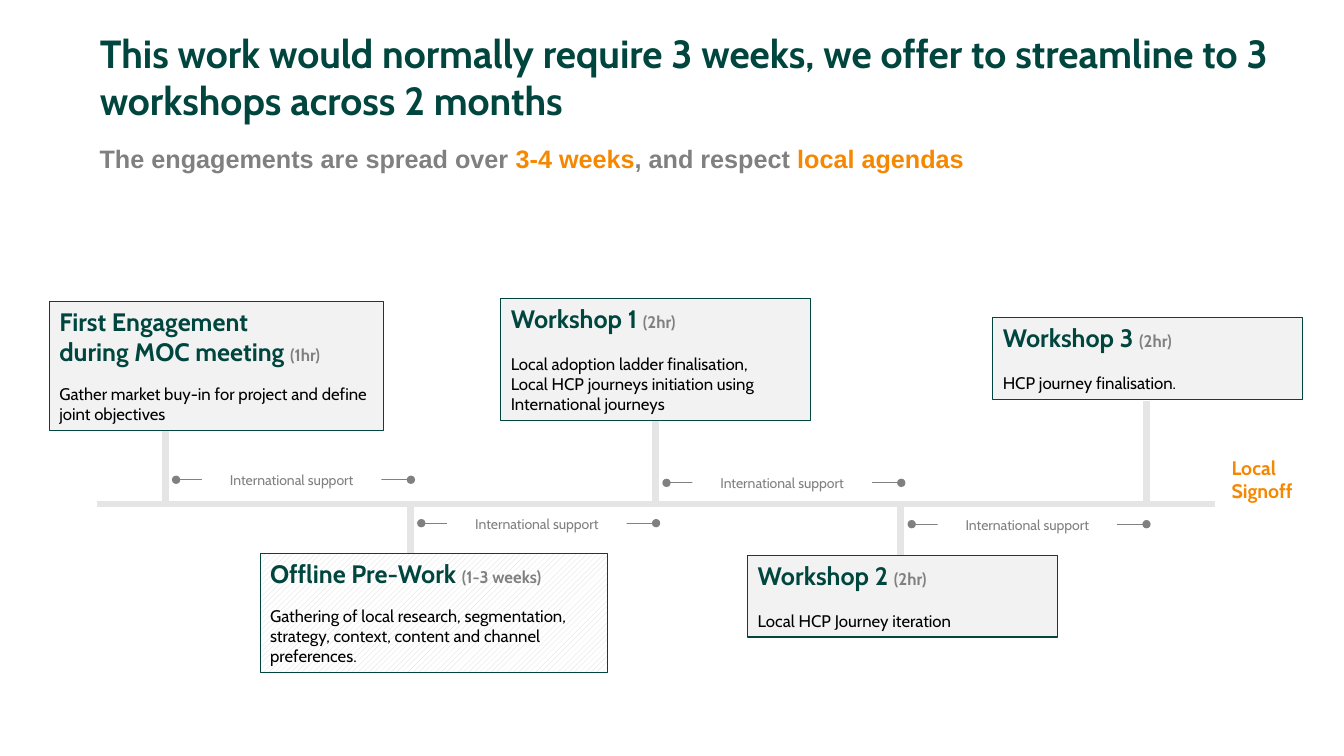
from dataclasses import dataclass

from lxml.etree import SubElement
from pptx import Presentation
from pptx.dml.color import RGBColor
from pptx.enum.dml import MSO_PATTERN
from pptx.enum.shapes import MSO_CONNECTOR, MSO_SHAPE
from pptx.enum.text import MSO_ANCHOR, MSO_AUTO_SIZE, PP_ALIGN
from pptx.oxml.ns import qn
from pptx.util import Pt


@dataclass(frozen=True)
class Theme:
    green: RGBColor = RGBColor(0x00, 0x46, 0x3E)
    orange: RGBColor = RGBColor(0xF5, 0x88, 0x00)
    gray: RGBColor = RGBColor(0x80, 0x80, 0x80)
    track: RGBColor = RGBColor(0xE5, 0xE5, 0xE5)
    panel: RGBColor = RGBColor(0xF2, 0xF2, 0xF2)
    hatch: RGBColor = RGBColor(0xD9, 0xD9, 0xD9)
    black: RGBColor = RGBColor(0x00, 0x00, 0x00)
    white: RGBColor = RGBColor(0xFF, 0xFF, 0xFF)
    font: str = "Cabin"
    subtitle_font: str = "Arial"
    title: int = 28
    heading: int = 18
    signoff: int = 14
    body: int = 12
    label: int = 10


theme = Theme()


def write_spans(para, spans, font=theme.font):
    """Fill a paragraph with (text, size, colour, bold) spans."""
    for text, size, color, bold in spans:
        span = para.add_run()
        span.text = text
        span.font.name = font
        span.font.size = Pt(size)
        span.font.color.rgb = color
        span.font.bold = bold


def add_line(start, end, color, width):
    """Draw a straight line without a shadow between two (x, y) points."""
    line = slide.shapes.add_connector(
        MSO_CONNECTOR.STRAIGHT, *(Pt(value) for value in start + end))
    line.line.color.rgb = color
    line.line.width = Pt(width)
    SubElement(line._element.spPr, qn("a:effectLst"))
    return line


deck = Presentation()
deck.slide_width, deck.slide_height = Pt(960), Pt(540)
slide = deck.slides.add_slide(deck.slide_layouts[5])

# Title
title = slide.shapes.title
title.left, title.top, title.width, title.height = Pt(64.1), Pt(19.4), Pt(851), Pt(49)
frame = title.text_frame
frame.word_wrap = True
frame.auto_size = MSO_AUTO_SIZE.NONE
frame.vertical_anchor = MSO_ANCHOR.TOP
frame.margin_top, frame.margin_bottom = Pt(1.4), Pt(0)
frame.paragraphs[0].alignment = PP_ALIGN.LEFT
write_spans(frame.paragraphs[0], [(
    "This work would normally require 3 weeks, we offer to streamline to 3 "
    "workshops across 2 months", theme.title, theme.green, True)])

# Subtitle and closing milestone
captions = [
    ((64.1, 98.6, 826.6, 28.8), theme.subtitle_font, [
        ("The engagements are spread over ", theme.heading, theme.gray, True),
        ("3-4 weeks", theme.heading, theme.orange, True),
        (", and respect ", theme.heading, theme.gray, True),
        ("local agendas", theme.heading, theme.orange, True)]),
    ((872.6, 321.8, 72.7, 41), theme.font,
     [("Local Signoff", theme.signoff, theme.orange, True)]),
]
for place, font, spans in captions:
    box = slide.shapes.add_textbox(*(Pt(value) for value in place))
    box.text_frame.word_wrap = True
    write_spans(box.text_frame.paragraphs[0], spans, font)

# Timeline with stems alternating above and below
axis_y = 360
stem_length = 73.5
first_stem, stem_step = 118.1, 175.15
stems = [first_stem + index * stem_step for index in range(5)]
add_line((69.1, axis_y), (867.6, axis_y), theme.track, 5)
for index, x in enumerate(stems):
    direction = 1 if index % 2 else -1
    add_line((x, axis_y), (x, axis_y + direction * stem_length), theme.track, 5)

# Support spans between neighbouring stems
for x, y in zip(stems, (342.7, 373.7, 344.9, 374.4)):
    start = x + 7.7
    support = add_line((start, y), (start + 167.7, y), theme.gray, 0.75)
    outline = support.line._get_or_add_ln()
    for end in ("a:headEnd", "a:tailEnd"):
        SubElement(outline, qn(end), type="oval")

    label = slide.shapes.add_shape(
        MSO_SHAPE.RECTANGLE, Pt(start + 18.4), Pt(y - 9.4), Pt(128.2), Pt(19.4))
    label.shadow.inherit = False
    label.fill.solid()
    label.fill.fore_color.rgb = theme.white
    label.line.fill.background()
    label.text_frame.word_wrap = True
    para = label.text_frame.paragraphs[0]
    para.alignment = PP_ALIGN.CENTER
    write_spans(para, [("International support", theme.label, theme.gray, False)])

# Engagements: place, heading lines, duration, gap before body, body lines, hatched
engagements = [
    ((35.3, 215.4, 238.5, 92.2), ["First Engagement", "during MOC meeting "], "(1hr)", 12,
     ["Gather market buy-in for project and define joint objectives"], False),
    ((185.8, 395.3, 248.4, 85), ["Offline Pre-Work "], "(1-3 weeks)", 12,
     ["Gathering of local research, segmentation, strategy, context, "
      "content and channel preferences."], True),
    ((357.8, 213.1, 221, 87.1), ["Workshop 1 "], "(2hr)", 14.5,
     ["Local adoption ladder finalisation,",
      "Local HCP journeys initiation using International journeys"], False),
    ((534.2, 396.7, 221, 58.3), ["Workshop 2 "], "(2hr)", 14.5,
     ["Local HCP Journey iteration"], False),
    ((709.2, 226.8, 221, 58.3), ["Workshop 3 "], "(2hr)", 14.5,
     ["HCP journey finalisation."], False),
]
for place, headings, duration, gap, body, hatched in engagements:
    box = slide.shapes.add_shape(MSO_SHAPE.RECTANGLE, *(Pt(value) for value in place))
    box.shadow.inherit = False
    if hatched:
        box.fill.patterned()
        box.fill.pattern = MSO_PATTERN.WIDE_UPWARD_DIAGONAL
        box.fill.fore_color.rgb = theme.hatch
        box.fill.back_color.rgb = theme.white
    else:
        box.fill.solid()
        box.fill.fore_color.rgb = theme.panel
    box.line.color.rgb = theme.green
    box.line.width = Pt(0.75)

    lines = [[(text, theme.heading, theme.green, True)] for text in headings]
    lines[-1].append((duration, theme.body, theme.gray, True))
    lines += [[(text, theme.body, theme.black, False)] for text in body]
    frame = box.text_frame
    frame.word_wrap = True
    frame.vertical_anchor = MSO_ANCHOR.TOP
    for index, spans in enumerate(lines):
        para = frame.add_paragraph() if index else frame.paragraphs[0]
        para.alignment = PP_ALIGN.LEFT
        if index == len(headings):
            para.space_before = Pt(gap)
        write_spans(para, spans)

deck.save("out.pptx")
